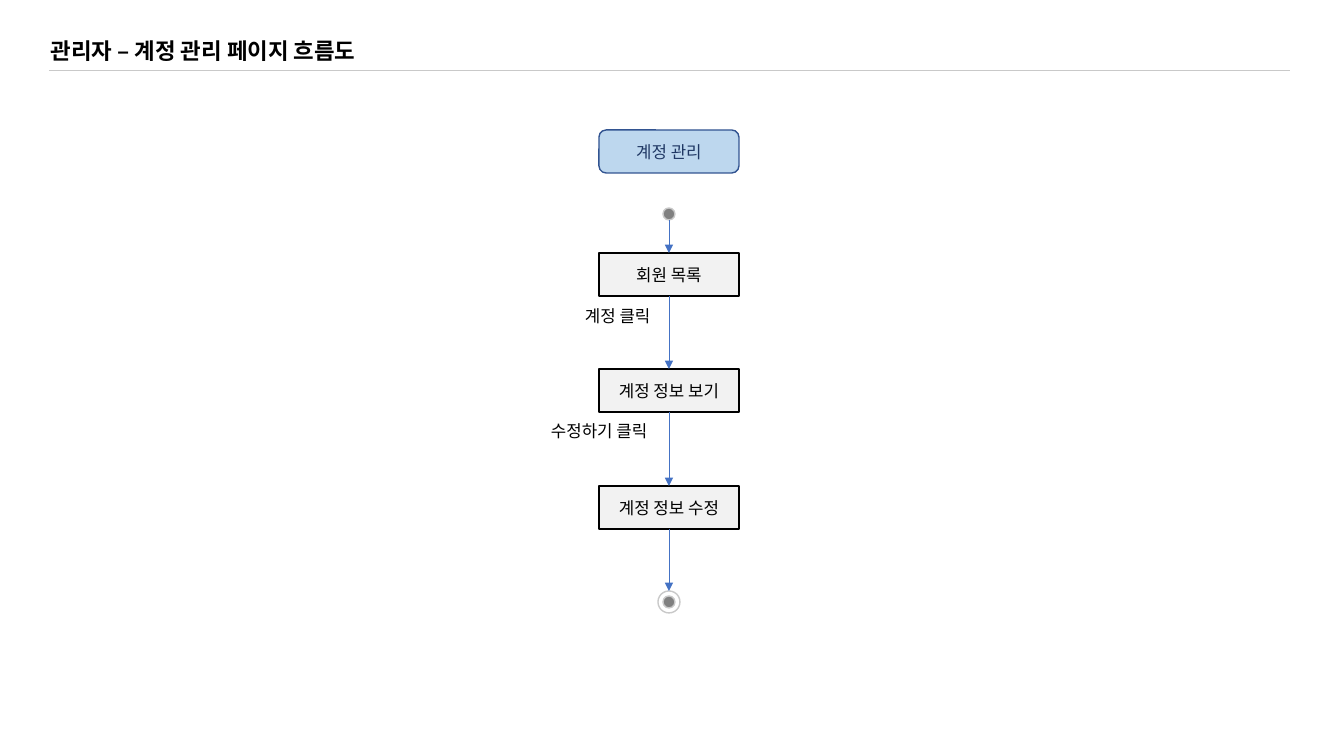
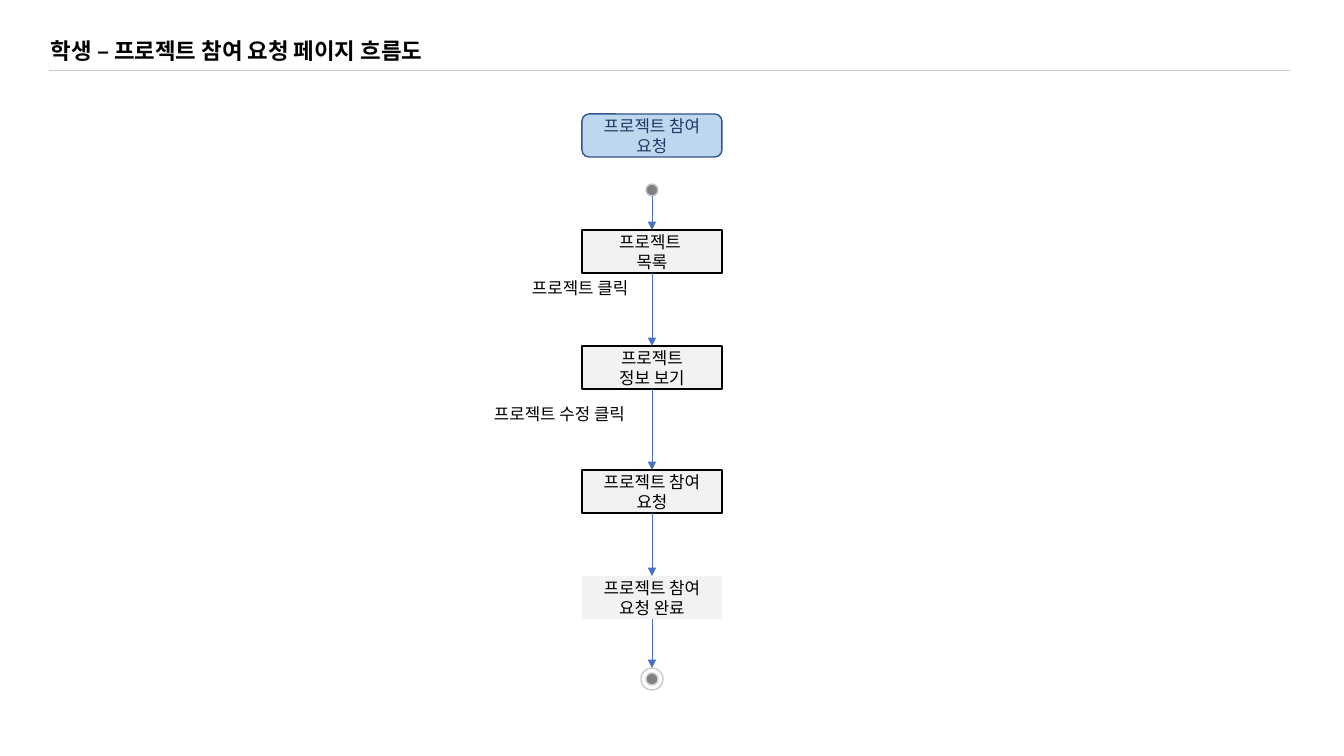
from dataclasses import dataclass
from lxml.etree import SubElement
from pptx import Presentation
from pptx.dml.color import RGBColor
from pptx.enum.shapes import MSO_CONNECTOR, MSO_SHAPE
from pptx.enum.text import MSO_ANCHOR, MSO_AUTO_SIZE, PP_ALIGN
from pptx.oxml.ns import qn
from pptx.util import Emu, Pt


@dataclass(frozen=True)
class Theme:
    """Colours, type sizes and line widths shared by the slides."""
    font: str = "Noto Sans CJK KR"
    title_size: int = 16
    body_size: int = 12
    ink: str = "000000"
    entry_ink: str = "203864"
    entry_fill: str = "BDD7EE"
    entry_edge: str = "325491"
    step_fill: str = "F2F2F2"
    dot_fill: str = "808080"
    soft_edge: str = "C9C9C9"
    arrow: str = "4472C4"
    outline: float = 1
    hairline: float = 0.5


@dataclass(frozen=True)
class Step:
    """One page of the flow; a label is (text, left from axis, top, width)."""
    top: int
    lines: tuple
    label: tuple = ()
    outlined: bool = True


@dataclass(frozen=True)
class Flow:
    """A titled vertical flow around one axis."""
    title: str
    title_width: int
    axis: int
    entry: str
    entry_top: int
    start_top: int
    steps: tuple
    end_top: int
    wrap_labels: bool


THEME = Theme()
EMU_PER_PIXEL = 914400 / 100.8
SLIDE_WIDTH, SLIDE_HEIGHT = 1344, 756
BOX_WIDTH, BOX_HEIGHT = 140, 43
DOT, RING = 12, 22
LABEL_HEIGHT = 30

FLOWS = (
    Flow("관리자 – 계정 관리 페이지 흐름도", 374, 669, "계정 관리", 130, 208, (
        Step(253, ("회원 목록",), ("계정 클릭", -94, 301, 94)),
        Step(369, ("계정 정보 보기",), ("수정하기 클릭", -128, 416, 128)),
        Step(486, ("계정 정보 수정",)),
    ), 591, False),
    Flow("학생 – 프로젝트 참여 요청 페이지 흐름도", 442, 652, "프로젝트 참여 요청", 114, 184, (
        Step(230, ("프로젝트 ", "목록"), ("프로젝트 클릭", -130, 273, 129)),
        Step(346, ("프로젝트", "정보 보기"), ("프로젝트 수정 클릭", -168, 399, 173)),
        Step(470, ("프로젝트 참여 요청",)),
        Step(576, ("프로젝트 참여 요청 완료",), outlined=False),
    ), 668, True),
)


def pixels(*lengths):
    """Turn pixel lengths into EMU."""
    return [Emu(round(length * EMU_PER_PIXEL)) for length in lengths]


def write(frame, lines, size, colour, bold=False, align=PP_ALIGN.LEFT):
    """Write each line as one styled paragraph."""
    for index, line in enumerate(lines):
        para = frame.paragraphs[0] if index == 0 else frame.add_paragraph()
        para.alignment = align
        span = para.add_run()
        span.text = line
        span.font.size = Pt(size)
        span.font.bold = bold
        span.font.color.rgb = RGBColor.from_string(colour)
        span.font.name = THEME.font
        SubElement(span.font._element, qn("a:ea"), typeface=THEME.font)


def add_text(page, box, text, size, bold=False, wrap=False):
    """Place a text box that grows with its text."""
    frame = page.shapes.add_textbox(*pixels(*box)).text_frame
    frame.word_wrap = wrap
    frame.auto_size = MSO_AUTO_SIZE.SHAPE_TO_FIT_TEXT
    write(frame, (text,), size, THEME.ink, bold)


def add_panel(shapes, kind, box, fill=None, edge=None):
    """Place a flat shape with optional fill and edge."""
    panel = shapes.add_shape(kind, *pixels(*box))
    panel.shadow.inherit = False
    if fill:
        panel.fill.solid()
        panel.fill.fore_color.rgb = RGBColor.from_string(fill)
    else:
        panel.fill.background()
    if edge:
        panel.line.color.rgb = RGBColor.from_string(edge)
        panel.line.width = Pt(THEME.outline)
    else:
        panel.line.fill.background()
    return panel


def add_node(page, kind, box, lines, fill, edge, ink):
    """Place a flow box with centred text."""
    frame = add_panel(page.shapes, kind, box, fill, edge).text_frame
    frame.word_wrap = True
    frame.vertical_anchor = MSO_ANCHOR.MIDDLE
    write(frame, lines, THEME.body_size, ink, align=PP_ALIGN.CENTER)


def add_line(page, start, end, colour, arrow=False):
    """Draw a thin straight line, with an arrowhead on request."""
    line = page.shapes.add_connector(MSO_CONNECTOR.STRAIGHT, *pixels(*start, *end))
    line.line.color.rgb = RGBColor.from_string(colour)
    line.line.width = Pt(THEME.hairline)
    if arrow:
        SubElement(line.line._get_or_add_ln(), qn("a:tailEnd"), type="triangle")
    SubElement(line._element.spPr, qn("a:effectLst"))


def add_dot(shapes, axis, top):
    """Place a filled dot on the axis."""
    box = (axis - DOT / 2, top, DOT, DOT)
    add_panel(shapes, MSO_SHAPE.OVAL, box, THEME.dot_fill, THEME.soft_edge)


def add_end(page, axis, top):
    """Place the ringed end dot as a group."""
    group = page.shapes.add_group_shape()
    add_dot(group.shapes, axis, top + (RING - DOT) / 2)
    ring = (axis - RING / 2, top, RING, RING)
    add_panel(group.shapes, MSO_SHAPE.OVAL, ring, edge=THEME.soft_edge)


def add_header(page, box, title, title_width):
    """Place the title above its rule; the box spans the header."""
    left, top, width, height = box
    add_line(page, (left, top + height), (left + width, top + height), THEME.soft_edge)
    add_text(page, (left - 8, top, title_width, height), title, THEME.title_size, bold=True)


def add_step(page, flow, step, box):
    """Place one step and the label of the action that leaves it."""
    edge = THEME.ink if step.outlined else None
    add_node(page, MSO_SHAPE.RECTANGLE, box, step.lines, THEME.step_fill, edge, THEME.ink)
    if step.label:
        text, offset, top, width = step.label
        label_box = (flow.axis + offset, top, width, LABEL_HEIGHT)
        add_text(page, label_box, text, THEME.body_size, wrap=flow.wrap_labels)


def add_flow(page, flow):
    """Place the entry, steps, arrows and end markers along the axis."""
    left = flow.axis - BOX_WIDTH / 2
    add_node(page, MSO_SHAPE.ROUNDED_RECTANGLE, (left, flow.entry_top, BOX_WIDTH, BOX_HEIGHT),
             (flow.entry,), THEME.entry_fill, THEME.entry_edge, THEME.entry_ink)
    add_dot(page.shapes, flow.axis, flow.start_top)
    for step in flow.steps:
        add_step(page, flow, step, (left, step.top, BOX_WIDTH, BOX_HEIGHT))
    add_end(page, flow.axis, flow.end_top)
    tops = [step.top for step in flow.steps]
    starts = [flow.start_top + DOT] + [top + BOX_HEIGHT for top in tops]
    for start, end in zip(starts, tops + [flow.end_top]):
        add_line(page, (flow.axis, start), (flow.axis, end), THEME.arrow, arrow=True)


def build_page(deck, flow):
    """Add one flow slide."""
    page = deck.slides.add_slide(deck.slide_layouts[6])
    add_header(page, (49, 32, 1241, 38), flow.title, flow.title_width)
    add_flow(page, flow)


def main():
    """Build and save the deck."""
    deck = Presentation()
    deck.slide_width, deck.slide_height = pixels(SLIDE_WIDTH, SLIDE_HEIGHT)
    for flow in FLOWS:
        build_page(deck, flow)
    deck.save("out.pptx")


main()
